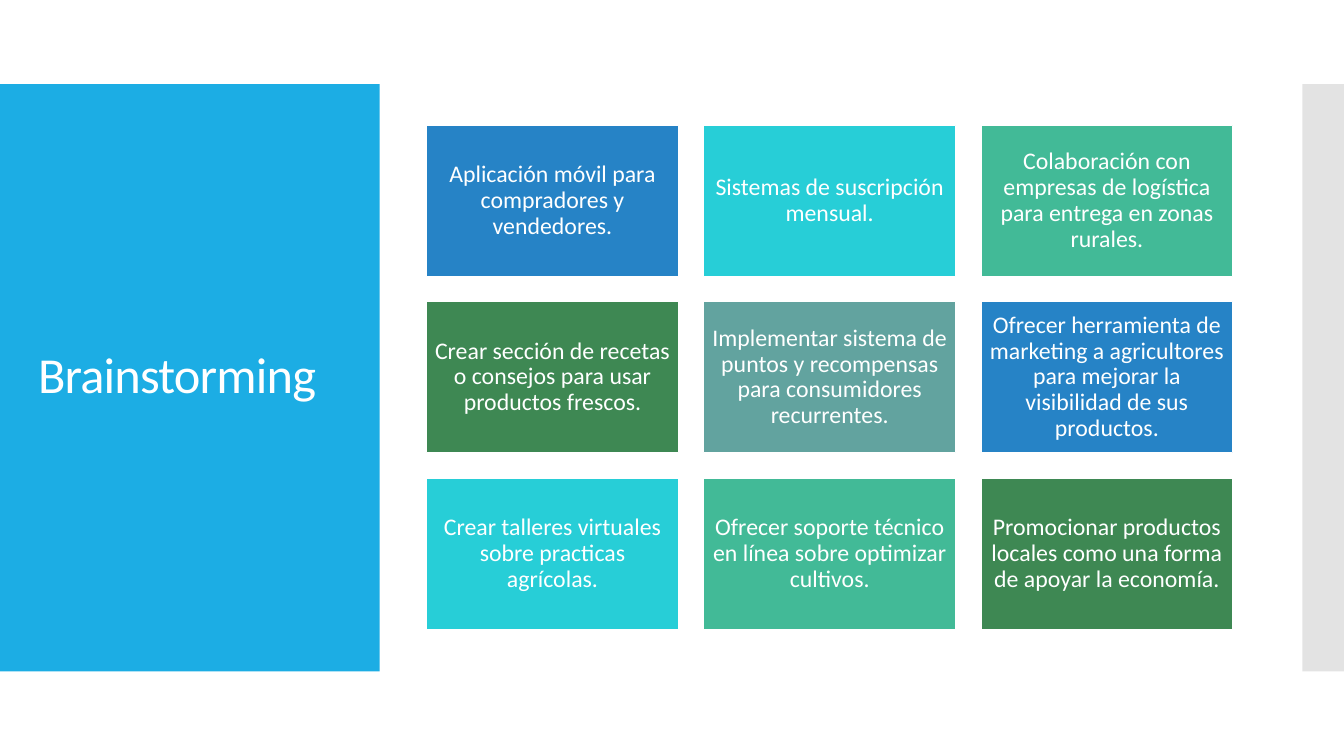
from lxml import etree
from pptx import Presentation
from pptx.dml.color import RGBColor
from pptx.enum import shapes, text
from pptx.oxml.ns import qn
from pptx.util import Pt

FONT = "Calibri"
WHITE = "FFFFFF"
BLUE, CYAN, MINT, GREEN, TEAL = "2683C6", "27CED7", "42BA97", "3E8853", "62A39F"
COLUMNS = 3
IDEAS = [
    ("Aplicación móvil para compradores y vendedores.", BLUE),
    ("Sistemas de suscripción mensual.", CYAN),
    ("Colaboración con empresas de logística para entrega en zonas rurales.", MINT),
    ("Crear sección de recetas o consejos para usar productos frescos.", GREEN),
    ("Implementar sistema de puntos y recompensas para consumidores recurrentes.", TEAL),
    ("Ofrecer herramienta de marketing a agricultores para mejorar la "
     "visibilidad de sus productos.", BLUE),
    ("Crear talleres virtuales sobre practicas agrícolas.", CYAN),
    ("Ofrecer soporte técnico en línea sobre optimizar cultivos.", MINT),
    ("Promocionar productos locales como una forma de apoyar la economía.", GREEN),
]


def paint(color_format, color):
    """Apply a hex colour to a fill's or font's colour."""
    color_format.rgb = RGBColor.from_string(color)


def add_panel(page, left, top, width, height, color):
    """Add a plain filled rectangle without outline or shadow."""
    box = page.shapes.add_shape(
        shapes.MSO_SHAPE.RECTANGLE, Pt(left), Pt(top), Pt(width), Pt(height))
    box.shadow.inherit = False
    box.fill.solid()
    paint(box.fill.fore_color, color)
    box.line.fill.background()
    return box


def set_opacity(box, percent):
    """Make the solid fill of a box partly transparent."""
    color = box.fill._xPr.find(qn("a:solidFill"))[0]
    etree.SubElement(color, qn("a:alpha")).set("val", str(percent * 1000))


def write(box, words, size, align):
    """Write one vertically centred white paragraph and return it."""
    frame = box.text_frame
    frame.word_wrap = True
    frame.auto_size = text.MSO_AUTO_SIZE.NONE
    frame.vertical_anchor = text.MSO_ANCHOR.MIDDLE
    para = frame.paragraphs[0]
    para.text = words
    para.alignment = align
    para.line_spacing = 0.9
    para.font.name = FONT
    para.font.size = Pt(size)
    paint(para.font.color, WHITE)
    return para


def add_title(page, words):
    """Place the title in front of the blue panel with tight lettering."""
    title = page.shapes.title
    title.left, title.top, title.width, title.height = Pt(20), Pt(88.5), Pt(232), Pt(362)
    title.element.getparent().append(title.element)
    para = write(title, words, 36, text.PP_ALIGN.LEFT)
    for span in para.runs:
        span._r.get_or_add_rPr().set("spc", "-60")


def add_card(page, index, words, color):
    """Add one idea card at its place in the grid."""
    row, column = divmod(index, COLUMNS)
    card = add_panel(page, 304.7 + column * 198, 89.5 + row * 126, 180, 108, color)
    card.line.width = Pt(0.85)
    paint(card.line.color, WHITE)
    frame = card.text_frame
    frame.margin_left = frame.margin_right = Pt(5.1)
    frame.margin_top = frame.margin_bottom = Pt(5.1)
    write(card, words, 17, text.PP_ALIGN.CENTER)


def main():
    """Build the brainstorming slide and save it."""
    deck = Presentation()
    deck.slide_width, deck.slide_height = Pt(960), Pt(540)
    page = deck.slides.add_slide(deck.slide_layouts[5])
    add_panel(page, 0, 60, 271.2, 419.5, "1CADE4")
    set_opacity(add_panel(page, 930.2, 60, 29.8, 419.5, "C8C8C8"), 50)
    add_title(page, "Brainstorming")
    for index, (words, color) in enumerate(IDEAS):
        add_card(page, index, words, color)
    deck.save("out.pptx")


if __name__ == "__main__":
    main()
